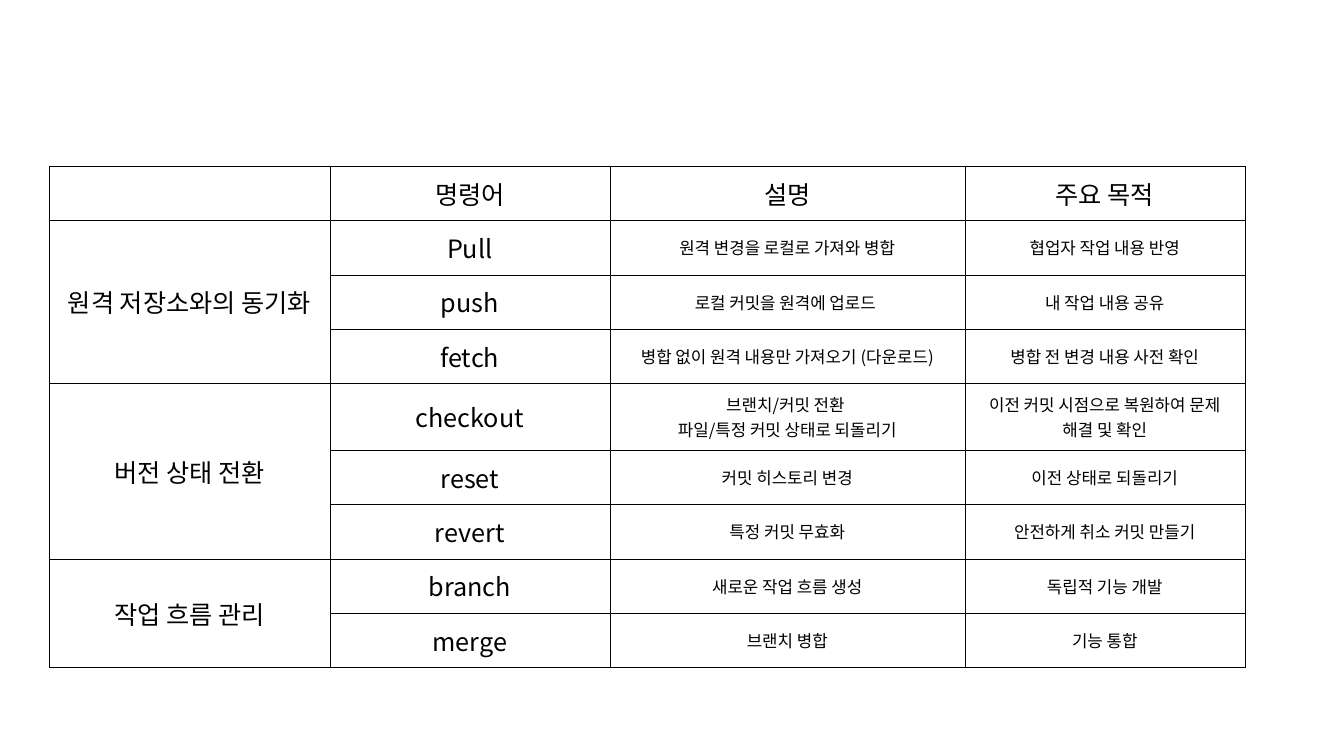
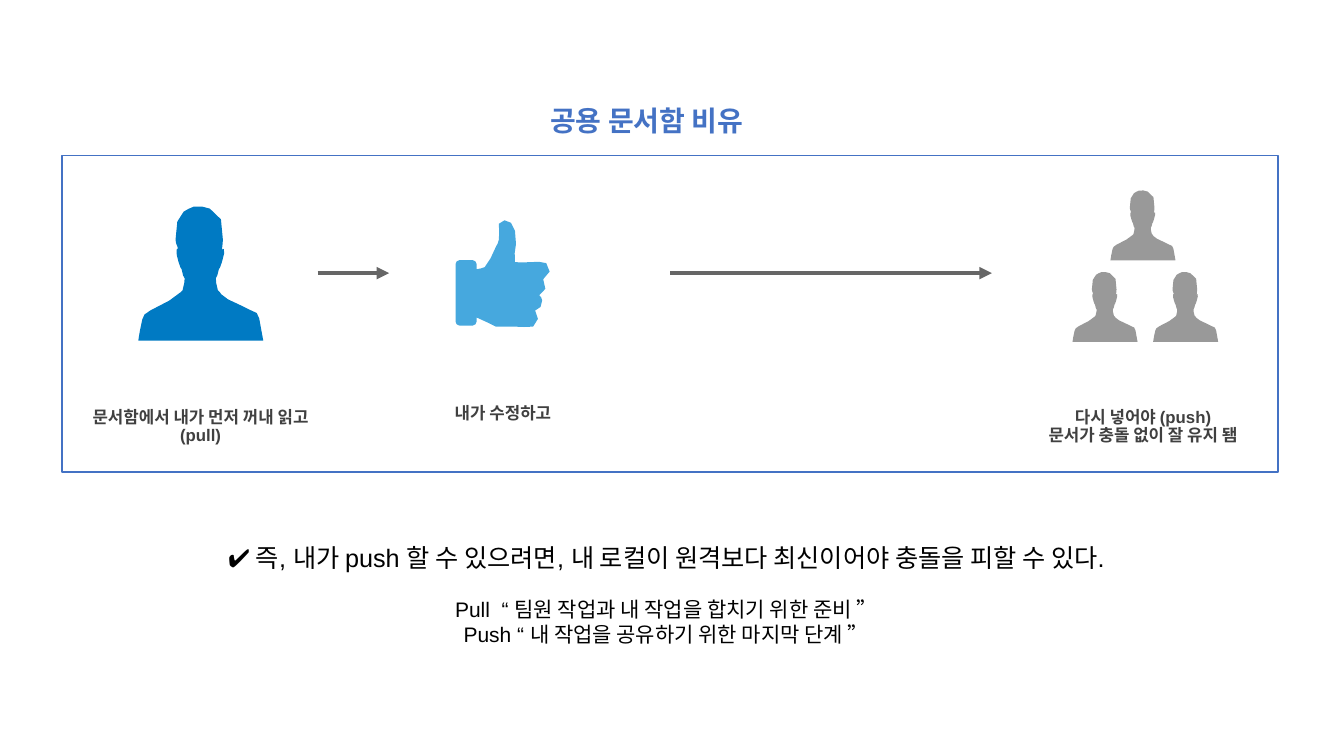
from dataclasses import dataclass

from lxml.etree import SubElement
from pptx import Presentation
from pptx.dml.color import RGBColor as RGB
from pptx.enum.shapes import MSO_CONNECTOR as CONNECTOR, MSO_SHAPE as SHAPE
from pptx.enum.text import MSO_ANCHOR as ANCHOR, MSO_AUTO_SIZE as AUTO_SIZE, PP_ALIGN as ALIGN
from pptx.oxml.ns import qn
from pptx.util import Pt


@dataclass(frozen=True)
class Theme:
    black: RGB = RGB(0x00, 0x00, 0x00)
    label: RGB = RGB(0x40, 0x40, 0x40)
    accent: RGB = RGB(0x44, 0x72, 0xC4)
    arrow: RGB = RGB(0x66, 0x66, 0x66)
    team: RGB = RGB(0x99, 0x99, 0x99)
    reader: RGB = RGB(0x00, 0x7A, 0xC3)
    thumb: RGB = RGB(0x46, 0xA8, 0xDE)
    korean: str = "Noto Sans CJK KR"
    latin: str = "Arial"
    title_size: int = 20
    main_size: int = 18
    note_size: int = 15
    small_size: int = 12


theme = Theme()


def write_text(frame, text, size, color, font, bold=False, align=ALIGN.CENTER, spacing=None):
    frame.text = text
    for paragraph in frame.paragraphs:
        paragraph.alignment = align
        paragraph.line_spacing = spacing
        for run in paragraph.runs:
            run.font.size = Pt(size)
            run.font.bold = bold
            run.font.name = font
            run.font.color.rgb = color


def draw_outline(shapes, outline, left, top, scale, color):
    points = [outline[0]]
    for segment in outline[1:]:
        if len(segment) == 6:
            x0, y0 = points[-1]
            x1, y1, x2, y2, x3, y3 = segment
            points.append(((x0 + 3 * x1 + 3 * x2 + x3) / 8, (y0 + 3 * y1 + 3 * y2 + y3) / 8))
        points.append(segment[-2:])
    placed = [(Pt(left + x * scale), Pt(top + y * scale)) for x, y in points]
    builder = shapes.build_freeform(*placed[0])
    builder.add_line_segments(placed[1:], close=True)
    silhouette = builder.convert_to_shape()
    silhouette.shadow.inherit = False
    silhouette.fill.solid()
    silhouette.fill.fore_color.rgb = color
    silhouette.line.fill.background()


deck = Presentation()
deck.slide_width = Pt(960)
deck.slide_height = Pt(540)

headings = ["", "명령어", "설명", "주요 목적"]
command_groups = {
    "원격 저장소와의 동기화": [
        ("Pull", "원격 변경을 로컬로 가져와 병합", "협업자 작업 내용 반영"),
        ("push", "로컬 커밋을 원격에 업로드 ", "내 작업 내용 공유"),
        ("fetch", "병합 없이 원격 내용만 가져오기 (다운로드)", "병합 전 변경 내용 사전 확인"),
    ],
    "버전 상태 전환": [
        ("checkout", "브랜치/커밋 전환 \n파일/특정 커밋 상태로 되돌리기",
         "이전 커밋 시점으로 복원하여 문제 해결 및 확인"),
        ("reset", "커밋 히스토리 변경", "이전 상태로 되돌리기"),
        ("revert", "특정 커밋 무효화", "안전하게 취소 커밋 만들기"),
    ],
    "작업 흐름 관리": [
        ("branch", "새로운 작업 흐름 생성", "독립적 기능 개발"),
        ("merge", "브랜치 병합", "기능 통합"),
    ],
}
rows = [headings]
group_spans = []
for group, commands in command_groups.items():
    group_spans.append((len(rows), len(rows) + len(commands) - 1))
    for index, command in enumerate(commands):
        rows.append(["" if index else group, *command])

column_widths = [200.2, 200.2, 253.4, 200.2]
row_heights = [47.3 if row[1] == "checkout" else 38.9 for row in rows]

command_slide = deck.slides.add_slide(deck.slide_layouts[6])
command_table = command_slide.shapes.add_table(
    len(rows), len(headings), Pt(35.3), Pt(118.4),
    Pt(sum(column_widths)), Pt(sum(row_heights))).table
command_table.first_row = False
command_table.horz_banding = False
for column, width in zip(command_table.columns, column_widths):
    column.width = Pt(width)

for row_index, row in enumerate(rows):
    command_table.rows[row_index].height = Pt(row_heights[row_index])
    for column_index, text in enumerate(row):
        cell = command_table.cell(row_index, column_index)
        detail = row_index > 0 and column_index > 1
        write_text(cell.text_frame, text, theme.small_size if detail else theme.main_size,
                   theme.black, theme.korean)
        cell.vertical_anchor = ANCHOR.MIDDLE
        for side in ("lnL", "lnR", "lnT", "lnB"):
            border = SubElement(cell._tc.get_or_add_tcPr(), qn(f"a:{side}"), w=str(Pt(0.25)))
            border_fill = SubElement(border, qn("a:solidFill"))
            SubElement(border_fill, qn("a:srgbClr"), val=str(theme.black))
        cell.fill.background()

for first, last in group_spans:
    command_table.cell(first, 0).merge(command_table.cell(last, 0))

analogy_slide = deck.slides.add_slide(deck.slide_layouts[5])
shapes = analogy_slide.shapes

title = shapes.title
title.left, title.top, title.width, title.height = Pt(393), Pt(76.3), Pt(560), Pt(22)
title_frame = title.text_frame
title_frame.margin_left = title_frame.margin_right = 0
title_frame.margin_top = title_frame.margin_bottom = 0
title_frame.vertical_anchor = ANCHOR.TOP
title_frame.auto_size = AUTO_SIZE.NONE
write_text(title_frame, "공용 문서함 비유", theme.title_size, theme.accent, theme.korean,
           bold=True, align=ALIGN.LEFT, spacing=0.9)

frame = shapes.add_shape(SHAPE.RECTANGLE, Pt(44.4), Pt(110.9), Pt(868.5), Pt(226.4))
frame.shadow.inherit = False
frame.fill.background()
frame.line.color.rgb = theme.accent
frame.line.width = Pt(1)

for start, end in [(226.8, 278), (478.8, 708.5)]:
    arrow = shapes.add_connector(CONNECTOR.STRAIGHT, Pt(start), Pt(195.1), Pt(end), Pt(195.1))
    arrow.line.color.rgb = theme.arrow
    arrow.line.width = Pt(3)
    SubElement(arrow.line._get_or_add_ln(), qn("a:tailEnd"), type="triangle")
    SubElement(arrow._element.spPr, qn("a:effectLst"))

person = [
    (112, 103), (116, 105, 120, 105, 120, 111), (124, 133), (0, 133),
    (1, 129, 2, 118, 4, 112), (4, 109, 7, 105, 12, 103), (24, 97, 40, 89, 42, 85),
    (43, 82, 44, 85, 44, 83), (46, 78, 46, 71, 46, 71), (45, 71, 44, 67, 43, 62),
    (43, 61, 41, 61, 40, 55), (39, 51, 37, 45, 38, 43), (38, 42, 39, 42, 39, 42),
    (39, 41, 39, 41, 39, 40), (38, 38, 37, 35, 37, 33), (37, 18, 39, 9, 45, 5),
    (47, 4, 53, 0, 55, 0), (59, -1, 67, 0, 71, 2), (82, 8, 85, 14, 84, 33),
    (84, 36, 83, 41, 83, 43), (84, 42, 84, 42, 85, 42), (86, 42, 85, 50, 83, 55),
    (82, 61, 80, 61, 80, 62), (79, 67, 78, 70, 77, 71), (77, 71, 77, 79, 79, 83),
    (80, 85, 80, 83, 81, 85), (81, 84, 82, 89, 89, 92), (101, 98, 107, 100, 112, 103),
]
thumbs_up = [
    (90, 43), (86, 41, 80, 42, 74, 42), (69, 42, 63, 43, 59, 42), (57, 36, 60, 30, 60, 24),
    (61, 14, 58, 6, 55, 3), (52, 0, 45, -1, 43, 4), (43, 10, 44, 15, 43, 20),
    (43, 22, 41, 25, 40, 27), (37, 35, 33, 42, 29, 47), (26, 48, 24, 49, 21, 49),
    (21, 44), (21, 42, 19, 40, 17, 40), (4, 40), (2, 40, 0, 42, 0, 44),
    (0, 101), (0, 103, 2, 105, 4, 105), (17, 105), (19, 105, 21, 103, 21, 101),
    (21, 97), (28, 98, 32, 104, 40, 106), (45, 106, 52, 106, 58, 106),
    (64, 106, 72, 107, 77, 106), (83, 104, 83, 93, 79, 90), (83, 89, 87, 85, 86, 80),
    (86, 77, 84, 76, 83, 75), (90, 74, 91, 64, 87, 59), (94, 58, 96, 45, 90, 43),
]
silhouettes = [
    (person, 98.8, 147.6, 0.72, theme.reader),
    (thumbs_up, 325.4, 157, 0.72, theme.thumb),
    (person, 793.2, 136.1, 0.375, theme.team),
    (person, 766.1, 194.4, 0.375, theme.team),
    (person, 823.7, 194.4, 0.375, theme.team),
]
for silhouette in silhouettes:
    draw_outline(shapes, *silhouette)

step_labels = [
    ("문서함에서 내가 먼저 꺼내 읽고\n(pull)", 54, 272.9, 178.6),
    ("내가 수정하고", 270, 263.5, 178.6),
    ("다시 넣어야 (push)\n문서가 충돌 없이 잘 유지 됌", 701.3, 272.9, 230.4),
]
for text, left, top, width in step_labels:
    label_frame = shapes.add_textbox(Pt(left), Pt(top), Pt(width), Pt(64.8)).text_frame
    label_frame.word_wrap = True
    label_frame.vertical_anchor = ANCHOR.MIDDLE
    label_frame.margin_left = label_frame.margin_right = 0
    label_frame.margin_top = label_frame.margin_bottom = 0
    write_text(label_frame, text, theme.small_size, theme.label, theme.latin,
               bold=True, spacing=0.9)

conclusion = "✔ 즉, 내가 push 할 수 있으려면, 내 로컬이 원격보다 최신이어야 충돌을 피할 수 있다."
command_notes = ["Pull  “ 팀원 작업과 내 작업을 합치기 위한 준비 ”",
                 "Push “ 내 작업을 공유하기 위한 마지막 단계 ”"]
summary_frame = shapes.add_textbox(Pt(126), Pt(383), Pt(700), Pt(83.5)).text_frame
summary_frame.word_wrap = False
summary_frame.auto_size = AUTO_SIZE.SHAPE_TO_FIT_TEXT
summary_frame.vertical_anchor = ANCHOR.MIDDLE
write_text(summary_frame, "\n".join([conclusion, *command_notes]), theme.note_size,
           theme.black, theme.latin)
summary_frame.paragraphs[0].runs[0].font.size = Pt(theme.main_size)
summary_frame.paragraphs[1].space_before = Pt(17)

deck.save("out.pptx")
